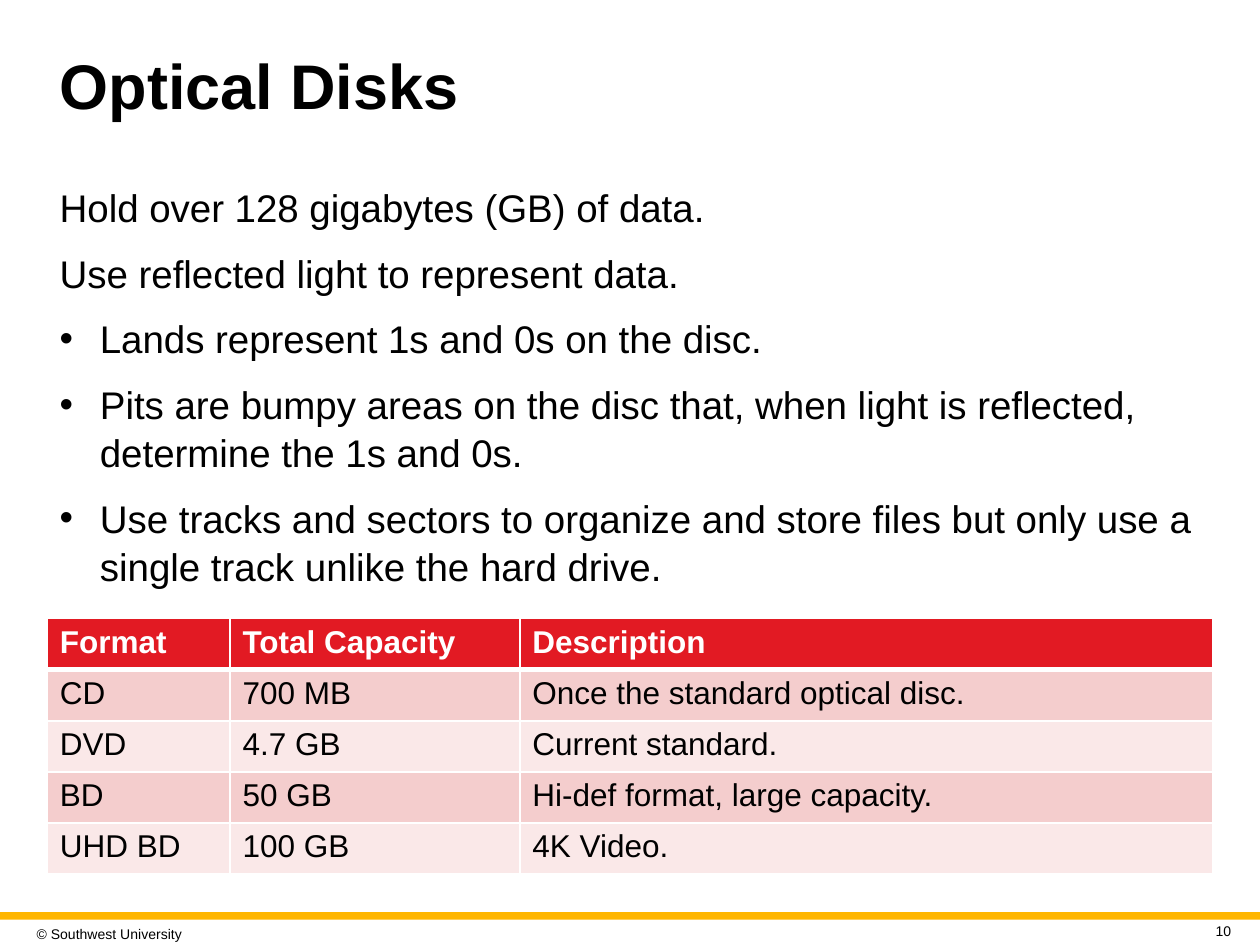
from lxml.etree import SubElement
from pptx import Presentation
from pptx.dml.color import RGBColor
from pptx.enum.shapes import MSO_SHAPE
from pptx.enum.text import MSO_ANCHOR, PP_ALIGN
from pptx.oxml.ns import qn
from pptx.util import Pt

BLACK, WHITE, GOLD, RED = "000000", "FFFFFF", "FFB600", "E21A23"
BAND_COLORS = ("F4CDCD", "FAE8E8")
LEFT, CONTENT_WIDTH = 27, 666
BULLET_INDENT = 23

BODY = [  # text, bulleted
    ("Hold over 128 gigabytes (GB) of data.", False),
    ("Use reflected light to represent data.", False),
    ("Lands represent 1s and 0s on the disc.", True),
    ("Pits are bumpy areas on the disc that, when light is reflected, "
     "determine the 1s and 0s.", True),
    ("Use tracks and sectors to organize and store files but only use a "
     "single track unlike the hard drive.", True),
]
FORMATS = [
    ("Format", "Total Capacity", "Description"),
    ("CD", "700 MB", "Once the standard optical disc."),
    ("DVD", "4.7 GB", "Current standard."),
    ("BD", "50 GB", "Hi-def format, large capacity."),
    ("UHD BD", "100 GB", "4K Video."),
]
COLUMN_WIDTHS = (104.4, 165.6, 396)
ROW_HEIGHT = 29.2


def color(hex_string):
    return RGBColor.from_string(hex_string)


def set_font(paragraph, size, hex_string=BLACK, bold=False):
    font = paragraph.font
    font.name, font.size, font.bold = "Arial", Pt(size), bold
    font.color.rgb = color(hex_string)


def add_text_frame(slide, left, top, width, height, anchor=MSO_ANCHOR.MIDDLE,
                   margin=None, wrap=True):
    box = slide.shapes.add_textbox(Pt(left), Pt(top), Pt(width), Pt(height))
    frame = box.text_frame
    frame.word_wrap = wrap
    frame.vertical_anchor = anchor
    if margin is not None:
        frame.margin_left = frame.margin_right = Pt(margin)
        frame.margin_top = frame.margin_bottom = Pt(margin)
    return frame


def add_label(slide, text, size, *bounds, bold=False, align=PP_ALIGN.LEFT, **options):
    paragraph = add_text_frame(slide, *bounds, **options).paragraphs[0]
    paragraph.text = text
    paragraph.alignment = align
    set_font(paragraph, size, bold=bold)
    return paragraph


def add_bullet(paragraph):
    properties = paragraph._p.get_or_add_pPr()
    properties.set("marL", str(Pt(BULLET_INDENT)))
    properties.set("indent", str(-Pt(BULLET_INDENT)))
    SubElement(properties, qn("a:buFont"), typeface="Arial")
    SubElement(properties, qn("a:buChar"), char="•")


def add_body(slide):
    frame = add_text_frame(slide, LEFT, 100.8, CONTENT_WIDTH, 238.3,
                           anchor=MSO_ANCHOR.TOP)
    for index, (text, bulleted) in enumerate(BODY):
        paragraph = frame.add_paragraph() if index else frame.paragraphs[0]
        paragraph.text = text
        if bulleted:
            add_bullet(paragraph)
        paragraph.line_spacing = 1.04
        if index:
            paragraph.space_before = Pt(10)
        set_font(paragraph, 22)


def set_borders(cell, widths):
    properties = cell._tc.get_or_add_tcPr()
    for position, (side, width) in enumerate(widths.items()):
        line = properties.makeelement(qn(f"a:ln{side}"), {"w": str(Pt(width))})
        fill = SubElement(line, qn("a:solidFill"))
        SubElement(fill, qn("a:srgbClr"), val=WHITE)
        properties.insert(position, line)


def add_format_table(slide):
    table = slide.shapes.add_table(
        len(FORMATS), len(COLUMN_WIDTHS), Pt(LEFT), Pt(353.5),
        Pt(CONTENT_WIDTH), Pt(ROW_HEIGHT * len(FORMATS))).table
    for column, width in zip(table.columns, COLUMN_WIDTHS):
        column.width = Pt(width)
    for row_index, values in enumerate(FORMATS):
        header = row_index == 0
        table.rows[row_index].height = Pt(ROW_HEIGHT)
        for column_index, value in enumerate(values):
            cell = table.cell(row_index, column_index)
            cell.text = value
            set_font(cell.text_frame.paragraphs[0], 18,
                     WHITE if header else BLACK, bold=header)
            cell.fill.solid()
            cell.fill.fore_color.rgb = color(
                RED if header else BAND_COLORS[(row_index - 1) % 2])
            set_borders(cell, {"L": 1, "R": 1,
                               "T": 3 if row_index == 1 else 1,
                               "B": 3 if header else 1})


def add_footer_bar(slide):
    bar = slide.shapes.add_shape(MSO_SHAPE.RECTANGLE, Pt(0), Pt(521.3), Pt(720), Pt(4.3))
    bar.shadow.inherit = False
    bar.fill.solid()
    bar.fill.fore_color.rgb = color(GOLD)
    bar.line.fill.background()


def main():
    presentation = Presentation()
    presentation.slide_width, presentation.slide_height = Pt(720), Pt(540)
    slide = presentation.slides.add_slide(presentation.slide_layouts[6])

    # Footer bar and copyright
    add_footer_bar(slide)
    add_label(slide, "© Southwest University", 8, 17.3, 524.9, 97.2, 17.3,
              margin=3.6, wrap=False)

    # Title, body and table
    title = add_label(slide, "Optical Disks", 36, LEFT, 18.7, CONTENT_WIDTH, 64.8,
                      bold=True)
    title.line_spacing = 0.9
    add_body(slide)
    add_format_table(slide)

    # Slide number
    add_label(slide, "10", 8, 679, 525.6, 28.1, 13, margin=3.6, align=PP_ALIGN.RIGHT)

    presentation.save("out.pptx")


if __name__ == "__main__":
    main()
